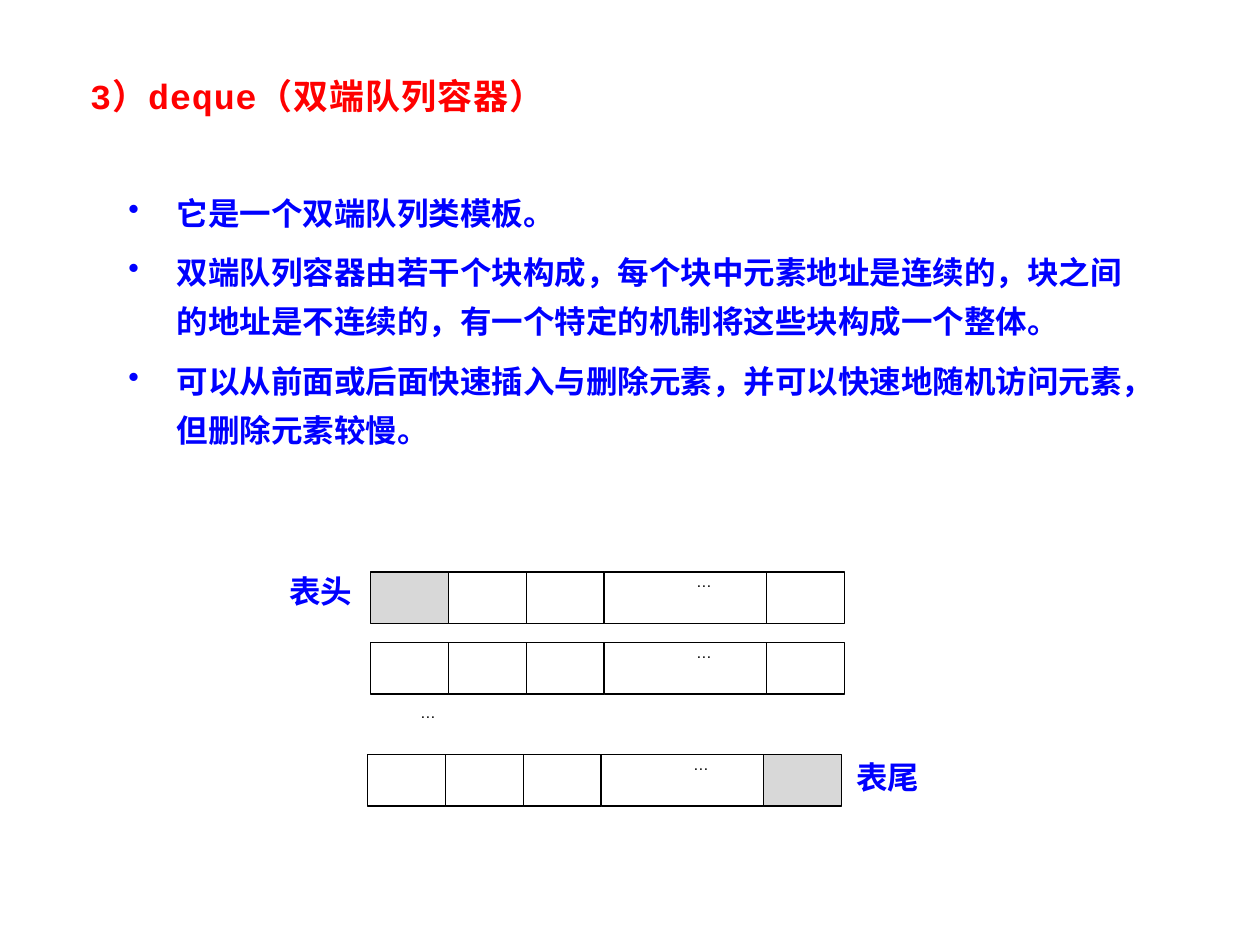
from lxml import etree
from pptx import Presentation
from pptx.dml.color import RGBColor
from pptx.enum.shapes import MSO_SHAPE
from pptx.enum.text import MSO_ANCHOR, PP_ALIGN
from pptx.oxml.ns import qn
from pptx.util import Cm, Pt

RECTANGLE = MSO_SHAPE.RECTANGLE
TOP = MSO_ANCHOR.TOP
LEFT, CENTER = PP_ALIGN.LEFT, PP_ALIGN.CENTER
COLORS = {"title": "FF0000", "text": "0000FF", "line": "000000",
          "plain": "FFFFFF", "end": "D8D8D8"}
CJK_FONT = "Noto Sans CJK SC"

CELL_WIDTHS = [1.57, 1.57, 1.57, 3.27, 1.57]
CELL_HEIGHT = 1.04
WIDE_CELL = 3
# Left, top and index of the shaded cell of each block
BLOCKS = [(7.47, 11.53, 0), (7.47, 12.95, None), (7.41, 15.21, 4)]
POINTS = [
    "它是一个双端队列类模板。",
    "双端队列容器由若干个块构成，每个块中元素地址是连续的，块之间的地址是不连续的，有一个特定的机制将这些块构成一个整体。",
    "可以从前面或后面快速插入与删除元素，并可以快速地随机访问元素，但删除元素较慢。",
]


def color(name):
    return RGBColor.from_string(COLORS[name])


def set_font(para, name, size, color_name, bold=False, spacing=None):
    font = para.font
    font.name, font.size, font.bold = name, Pt(size), bold
    font.color.rgb = color(color_name)
    defaults = para._p.pPr.find(qn("a:defRPr"))
    if bold:
        etree.SubElement(defaults, qn("a:ea")).set("typeface", CJK_FONT)
    if spacing:
        defaults.set("spc", str(spacing))


def set_indent(para, margin, indent):
    props = para._p.get_or_add_pPr()
    props.set("marL", str(Cm(margin)))
    props.set("indent", str(Cm(indent)))
    return props


def set_frame(box, left=0, top=0, right=0, bottom=0):
    frame = box.text_frame
    frame.word_wrap = True
    frame.vertical_anchor = TOP
    frame.margin_left, frame.margin_top = Cm(left), Cm(top)
    frame.margin_right, frame.margin_bottom = Cm(right), Cm(bottom)
    return frame


def add_rectangle(shapes, left, top, width, height, fill="plain", outlined=False):
    box = shapes.add_shape(RECTANGLE, Cm(left), Cm(top), Cm(width), Cm(height))
    box.shadow.inherit = False
    box.fill.solid()
    box.fill.fore_color.rgb = color(fill)
    if outlined:
        box.line.color.rgb = color("line")
        box.line.width = Pt(0.75)
    else:
        box.line.fill.background()
    return box


def add_ellipsis(box):
    para = set_frame(box).paragraphs[0]
    para.text = "…"
    para.alignment = CENTER
    set_indent(para, 0, 0.76)
    set_font(para, "Arial", 9, "line")


def add_label(shapes, left, top, text):
    box = add_rectangle(shapes, left, top, 1.4, 0.81)
    frame = set_frame(box)
    frame.word_wrap = False
    para = frame.paragraphs[0]
    para.text = text
    para.alignment = CENTER
    set_font(para, CJK_FONT, 18, "text", bold=True)


def add_block(shapes, left, top, shaded):
    for index, width in enumerate(CELL_WIDTHS):
        fill = "end" if index == shaded else "plain"
        cell = add_rectangle(shapes, left, top, width, CELL_HEIGHT, fill, True)
        if index == WIDE_CELL:
            add_ellipsis(cell)
        left += width


def add_title(page):
    box = page.shapes.add_textbox(Cm(1.57), Cm(1.37), Cm(21.44), Cm(1.12))
    para = set_frame(box, 0.25, 0.13, 0.25, 0.13).paragraphs[0]
    para.text = "3）deque（双端队列容器）"
    set_font(para, "Courier New", 20, "title", bold=True, spacing=50)


def add_points(page):
    box = add_rectangle(page.shapes, 2.18, 3.38, 20.83, 6.02)
    frame = set_frame(box, 0.41, 0.3, 0.25, 0.3)
    for index, text in enumerate(POINTS):
        para = frame.add_paragraph() if index else frame.paragraphs[0]
        para.text = text
        para.alignment = LEFT
        para.line_spacing = Pt(28)
        if index:
            para.space_before = Pt(6)
        props = set_indent(para, 0.97, -0.97)
        etree.SubElement(props, qn("a:buChar")).set("char", "•")
        set_font(para, "Courier New", 18, "text", bold=True)


def main():
    deck = Presentation()
    deck.slide_width, deck.slide_height = Cm(25.4), Cm(19.05)
    page = deck.slides.add_slide(deck.slide_layouts[6])
    add_title(page)

    # Blocks of the deque, with its head and tail
    diagram = page.shapes.add_group_shape().shapes
    for left, top, shaded in BLOCKS:
        add_block(diagram, left, top, shaded)
    add_label(diagram, 5.77, 11.53, "表头")
    add_label(diagram, 17.2, 15.29, "表尾")
    add_ellipsis(add_rectangle(diagram, 7.54, 14.17, 1.42, 0.81))

    add_points(page)
    deck.save("out.pptx")


if __name__ == "__main__":
    main()
